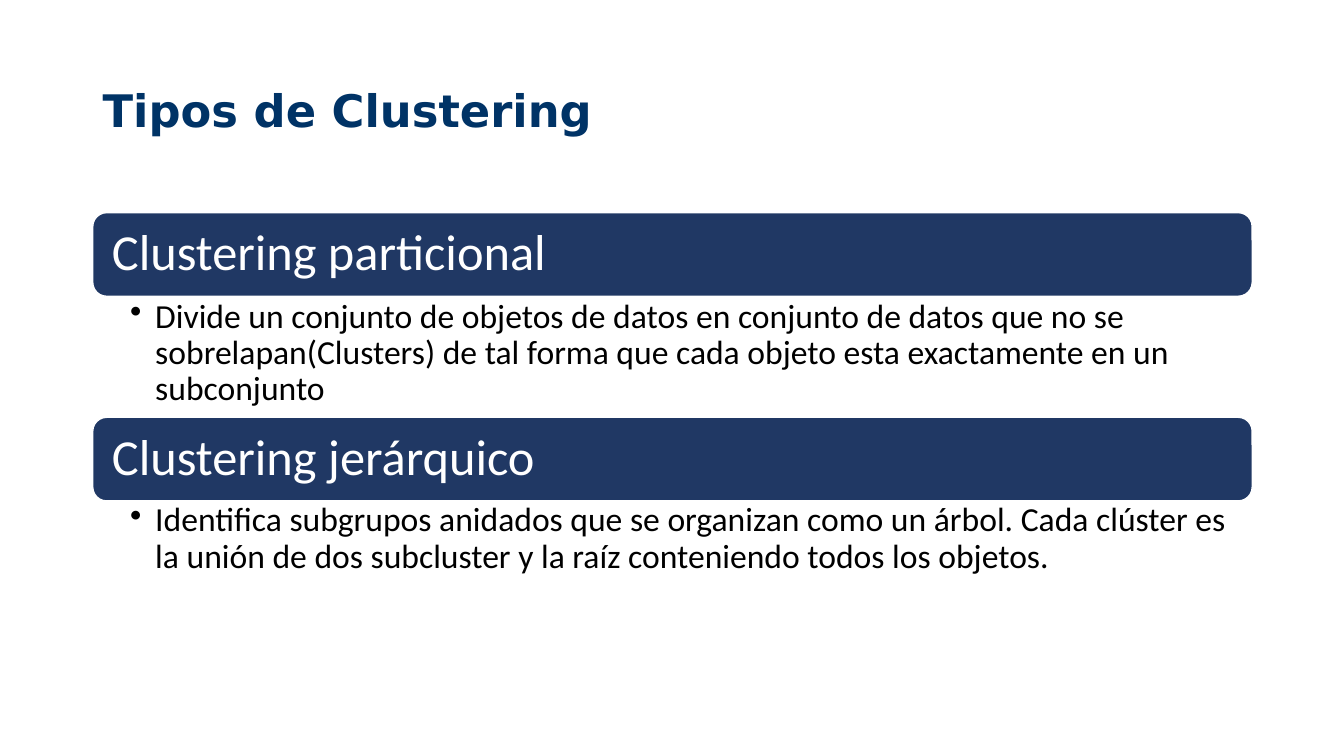
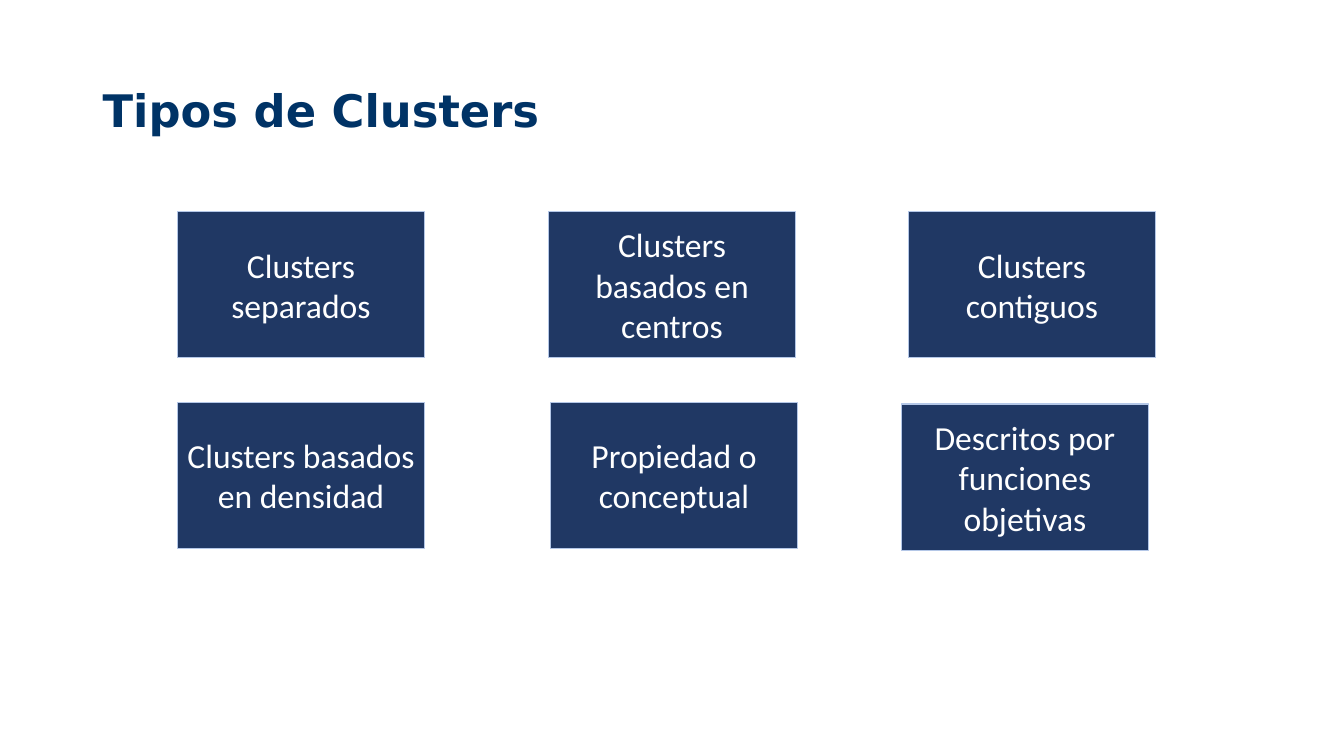
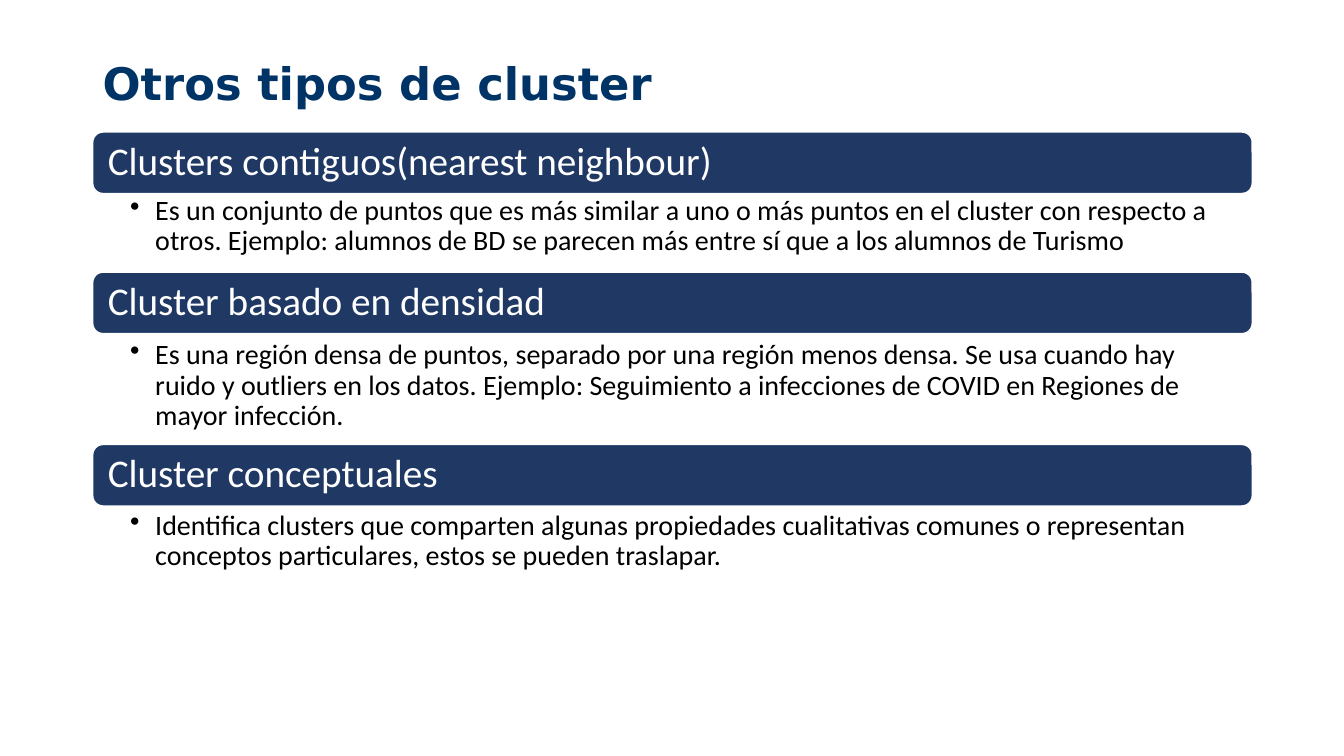
from lxml import etree
from pptx import Presentation
from pptx import util as u
from pptx.dml import color
from pptx.enum import shapes, text
from pptx.oxml import ns

# Shared style
NAVY, TITLE_BLUE, PALE_BLUE = "203864", "003366", "B4C7E7"
WHITE, BLACK = "FFFFFF", "000000"
BODY_FONT, TITLE_FONT = "Calibri", "DejaVu Sans"
LEFT, WIDTH = 0.92, 11.5
CARD_WIDTH, CARD_HEIGHT = 2.45, 1.45


def rgb(value):
    return color.RGBColor.from_string(value)


def write(shape, content, size, font=BODY_FONT, ink=BLACK, bold=False,
          align=text.PP_ALIGN.LEFT, anchor=text.MSO_ANCHOR.MIDDLE,
          spacing=None, insets=(0.1, 0.05, 0.1, 0.05), bullet=False):
    """Fill a shape with text; each line of content is a paragraph."""
    frame = shape.text_frame
    frame.word_wrap = True
    frame.vertical_anchor = anchor
    (frame.margin_left, frame.margin_top,
     frame.margin_right, frame.margin_bottom) = map(u.Inches, insets)
    for index, line in enumerate(content.split("\n")):
        para = frame.add_paragraph() if index else frame.paragraphs[0]
        para.alignment = align
        if spacing:
            para.line_spacing = spacing
        if bullet:
            add_bullet(para)
        span = para.add_run()
        span.text = line
        span.font.name = font
        span.font.size = u.Pt(size)
        span.font.bold = bold
        span.font.color.rgb = rgb(ink)


def add_bullet(para):
    properties = para._p.get_or_add_pPr()
    properties.set("marL", str(u.Inches(0.25)))
    properties.set("indent", str(-u.Inches(0.25)))
    mark = etree.SubElement(properties, ns.qn("a:buChar"))
    mark.set("char", "•")


def add_text(page, left, top, width, height, content, size, **style):
    box = page.shapes.add_textbox(*map(u.Inches, (left, top, width, height)))
    write(box, content, size, **style)


def add_block(page, kind, left, top, width, height, outline, content, size, **style):
    block = page.shapes.add_shape(kind, *map(u.Inches, (left, top, width, height)))
    block.shadow.inherit = False
    block.fill.solid()
    block.fill.fore_color.rgb = rgb(NAVY)
    block.line.color.rgb = rgb(outline)
    block.line.width = u.Pt(1)
    write(block, content, size, ink=WHITE, **style)


def add_page(deck, title, title_height=1.45):
    page = deck.slides.add_slide(deck.slide_layouts[6])
    add_text(page, LEFT, 0.4, WIDTH, title_height, title, 32, font=TITLE_FONT,
             ink=TITLE_BLUE, bold=True, align=text.PP_ALIGN.JUSTIFY, spacing=0.9)
    return page


def add_sections(page, sections, band_height, band_size, body_size, inset):
    """Stack rounded heading bands, each with a bulleted description."""
    for band_top, heading, body_top, body_height, body in sections:
        add_block(page, shapes.MSO_SHAPE.ROUNDED_RECTANGLE, LEFT, band_top, WIDTH,
                  band_height, WHITE, heading, band_size, spacing=0.9,
                  insets=(inset, 0, inset, 0))
        add_text(page, LEFT, body_top, WIDTH, body_height, body, body_size,
                 anchor=text.MSO_ANCHOR.TOP, spacing=0.9, bullet=True,
                 insets=(0.37, 0.03, inset + 0.04, 0.03))


def add_cards(page, cards):
    for left, top, label in cards:
        add_block(page, shapes.MSO_SHAPE.RECTANGLE, left, top, CARD_WIDTH, CARD_HEIGHT,
                  PALE_BLUE, label, 24, align=text.PP_ALIGN.CENTER)


def main():
    deck = Presentation()
    deck.slide_width, deck.slide_height = u.Inches(13.33), u.Inches(7.5)

    # Types of clustering
    page = add_page(deck, "Tipos de Clustering")
    add_sections(page, [
        (2.11, "Clustering particional", 2.94, 1.2,
         "Divide un conjunto de objetos de datos en conjunto de datos que no se "
         "sobrelapan(Clusters) de tal forma que cada objeto esta exactamente en un "
         "subconjunto"),
        (4.14, "Clustering jerárquico", 4.96, 1.16,
         "Identifica subgrupos anidados que se organizan como un árbol. Cada clúster "
         "es la unión de dos subcluster y la raíz conteniendo todos los objetos."),
    ], band_height=0.83, band_size=36, body_size=24, inset=0.15)

    # Types of clusters
    page = add_page(deck, "Tipos de Clusters")
    add_cards(page, [
        (1.76, 2.1, "Clusters\nseparados"),
        (5.44, 2.1, "Clusters\nbasados en centros"),
        (9.01, 2.1, "Clusters\ncontiguos"),
        (1.76, 3.99, "Clusters basados en densidad"),
        (5.46, 3.99, "Propiedad o conceptual"),
        (8.94, 4.01, "Descritos por funciones objetivas"),
    ])

    # Other types of cluster
    page = add_page(deck, "Otros tipos de cluster", title_height=0.9)
    add_sections(page, [
        (1.31, "Clusters contiguos(nearest neighbour)", 1.92, 1.06,
         "Es un conjunto de puntos que es más similar a uno o más puntos en el cluster "
         "con respecto a otros. Ejemplo: alumnos de BD se parecen más entre sí que a "
         "los alumnos de Turismo"),
        (2.7, "Cluster basado en densidad", 3.35, 1.01,
         "Es una región densa de puntos, separado por una región menos densa. Se usa "
         "cuando hay ruido y outliers en los datos. Ejemplo: Seguimiento a infecciones "
         "de COVID en Regiones de mayor infección."),
        (4.41, "Cluster conceptuales", 5.04, 1.54,
         "Identifica clusters que comparten algunas propiedades cualitativas comunes o "
         "representan conceptos particulares, estos se pueden traslapar."),
    ], band_height=0.61, band_size=28, body_size=20, inset=0.12)

    deck.save("out.pptx")


if __name__ == "__main__":
    main()
